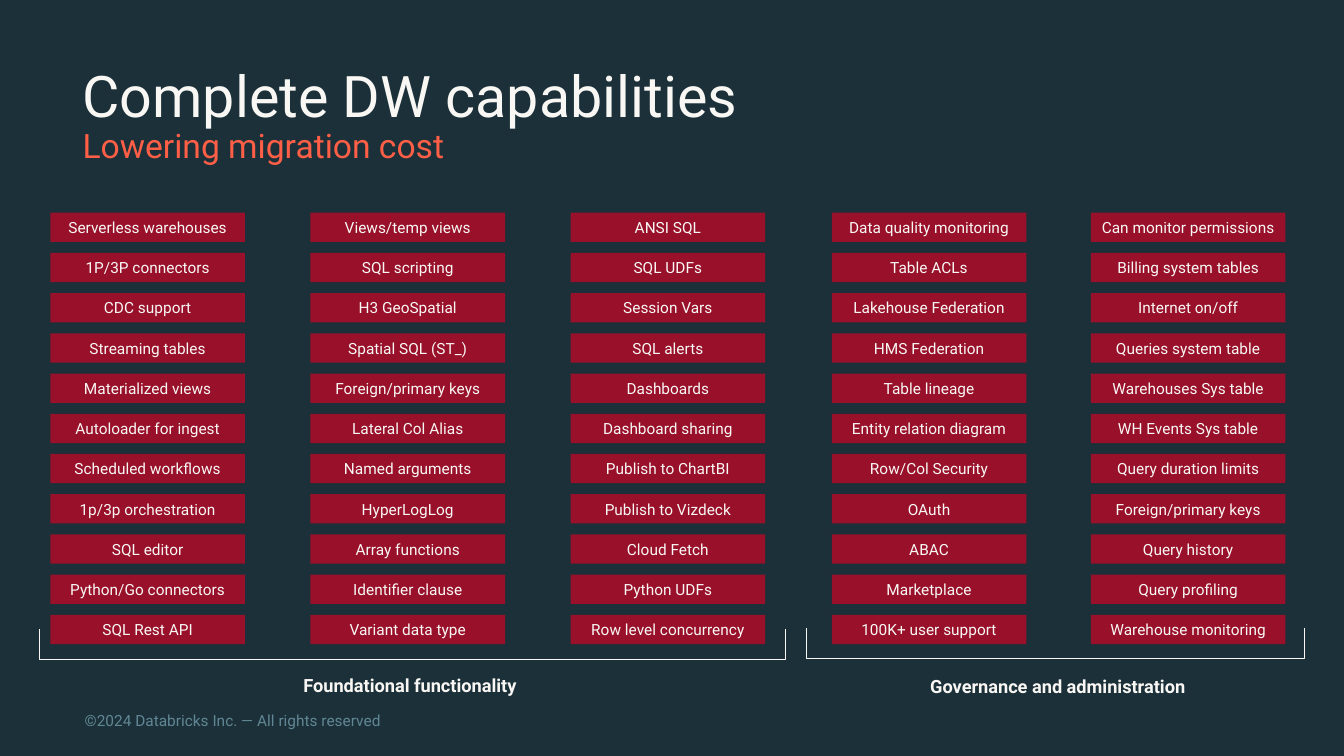
from pptx import Presentation
from pptx.util import Inches, Pt
from pptx.dml.color import RGBColor
from pptx.enum.shapes import MSO_SHAPE as SHAPE
from pptx.enum.text import MSO_ANCHOR as ANCHOR, PP_ALIGN as ALIGN

BG, CREAM, RED, CORAL, SLATE = "1B3039", "F9F7F4", "98102A", "FF5F46", "618794"

TITLE = "Complete DW capabilities"
SUBTITLE = "Lowering migration cost"
FOOTER = "©2024 Databricks Inc. — All rights reserved"

COLUMNS = [
    (0.5, ["Serverless warehouses", "1P/3P connectors", "CDC support",
           "Streaming tables", "Materialized views", "Autoloader for ingest",
           "Scheduled workflows", "1p/3p orchestration", "SQL editor",
           "Python/Go connectors", "SQL Rest API"]),
    (3.08, ["Views/temp views", "SQL scripting", "H3 GeoSpatial",
            "Spatial SQL (ST_)", "Foreign/primary keys", "Lateral Col Alias",
            "Named arguments", "HyperLogLog", "Array functions",
            "Identifier clause", "Variant data type"]),
    (5.66, ["ANSI SQL", "SQL UDFs", "Session Vars", "SQL alerts",
            "Dashboards", "Dashboard sharing", "Publish to ChartBI",
            "Publish to Vizdeck", "Cloud Fetch", "Python UDFs",
            "Row level concurrency"]),
    (8.25, ["Data quality monitoring", "Table ACLs", "Lakehouse Federation",
            "HMS Federation", "Table lineage", "Entity relation diagram",
            "Row/Col Security", "OAuth", "ABAC", "Marketplace",
            "100K+ user support"]),
    (10.82, ["Can monitor permissions", "Billing system tables",
             "Internet on/off", "Queries system table",
             "Warehouses Sys table", "WH Events Sys table",
             "Query duration limits", "Foreign/primary keys",
             "Query history", "Query profiling", "Warehouse monitoring"]),
]
GROUPS = [
    ("Foundational functionality", (0.5, 6.54, 7.13, 0.52), (3.94, 2.69, 0.3, 7.4)),
    ("Governance and administration", (8.23, 6.55, 4.52, 0.51), (10.32, 3.91, 0.3, 4.94)),
]
ROW_TOP, ROW_STEP = 2.11, 0.399
TILE_W, TILE_H = 1.93, 0.29


def color(value):
    return RGBColor.from_string(value)


def write(sp, text, size, hue=CREAM, bold=False, align=ALIGN.LEFT,
          anchor=ANCHOR.TOP, inset=(0, 0), spacing=None):
    tf = sp.text_frame
    side, edge = map(Inches, inset)
    frame = {"word_wrap": True, "vertical_anchor": anchor,
             "margin_left": side, "margin_right": side,
             "margin_top": edge, "margin_bottom": edge}
    for name, value in frame.items():
        setattr(tf, name, value)
    p = tf.paragraphs[0]
    p.alignment = align
    p.line_spacing = spacing
    r = p.add_run()
    r.text = text
    for name, value in {"name": "Roboto", "size": Pt(size), "bold": bold}.items():
        setattr(r.font, name, value)
    r.font.color.rgb = color(hue)


def add_shape(kind, box, fill=None, line=None):
    sp = s.shapes.add_shape(kind, *map(Inches, box))
    sp.shadow.inherit = False
    if fill:
        sp.fill.solid()
        sp.fill.fore_color.rgb = color(fill)
    else:
        sp.fill.background()
    if line:
        sp.line.color.rgb = color(line)
        sp.line.width = Pt(0.75)
    else:
        sp.line.fill.background()
    return sp


def add_text(box, text, size, **style):
    write(s.shapes.add_textbox(*map(Inches, box)), text, size, **style)


prs = Presentation()
prs.slide_width, prs.slide_height = Inches(13.33), Inches(7.5)
s = prs.slides.add_slide(prs.slide_layouts[6])
s.background.fill.solid()
s.background.fill.fore_color.rgb = color(BG)

centred = {"align": ALIGN.CENTER, "anchor": ANCHOR.MIDDLE, "inset": (0, 0.13)}

add_text((0.82, 0.59, 11.5, 0.69), TITLE, 41, anchor=ANCHOR.MIDDLE)
add_text((0.82, 1.28, 11.66, 0.64), SUBTITLE, 24, hue=CORAL, spacing=0.9)

for left, labels in COLUMNS:
    for row, label in enumerate(labels):
        top = ROW_TOP + row * ROW_STEP
        tile = add_shape(SHAPE.RECTANGLE, (left, top, TILE_W, TILE_H), fill=RED)
        write(tile, label, 11, **centred)

for label, box, bracket_box in GROUPS:
    write(add_shape(SHAPE.RECTANGLE, box), label, 13, bold=True, **centred)
    bracket = add_shape(SHAPE.LEFT_BRACKET, bracket_box, line=CREAM)
    bracket.adjustments[0] = 0
    bracket.rotation = 270

add_text((0.71, 6.96, 5.88, 0.45), FOOTER, 11, hue=SLATE, inset=(0.13, 0.13))

prs.save("out.pptx")
